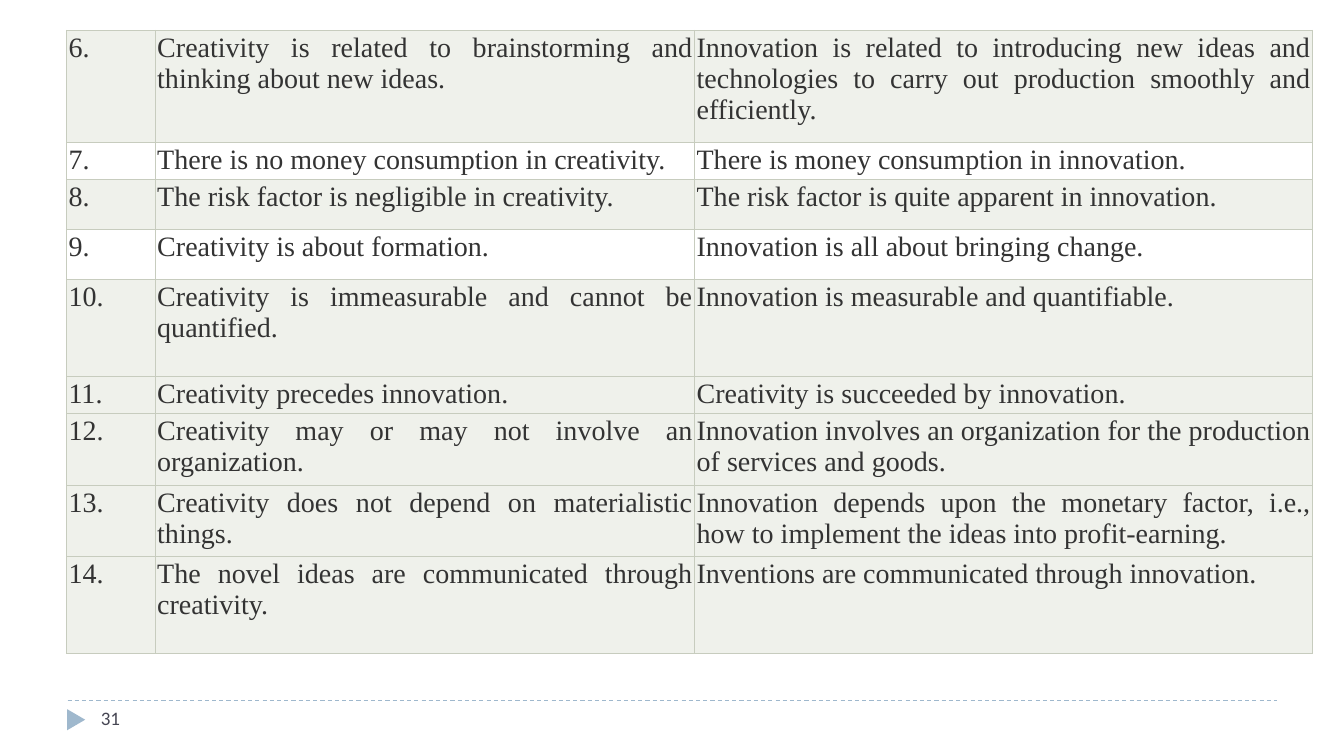
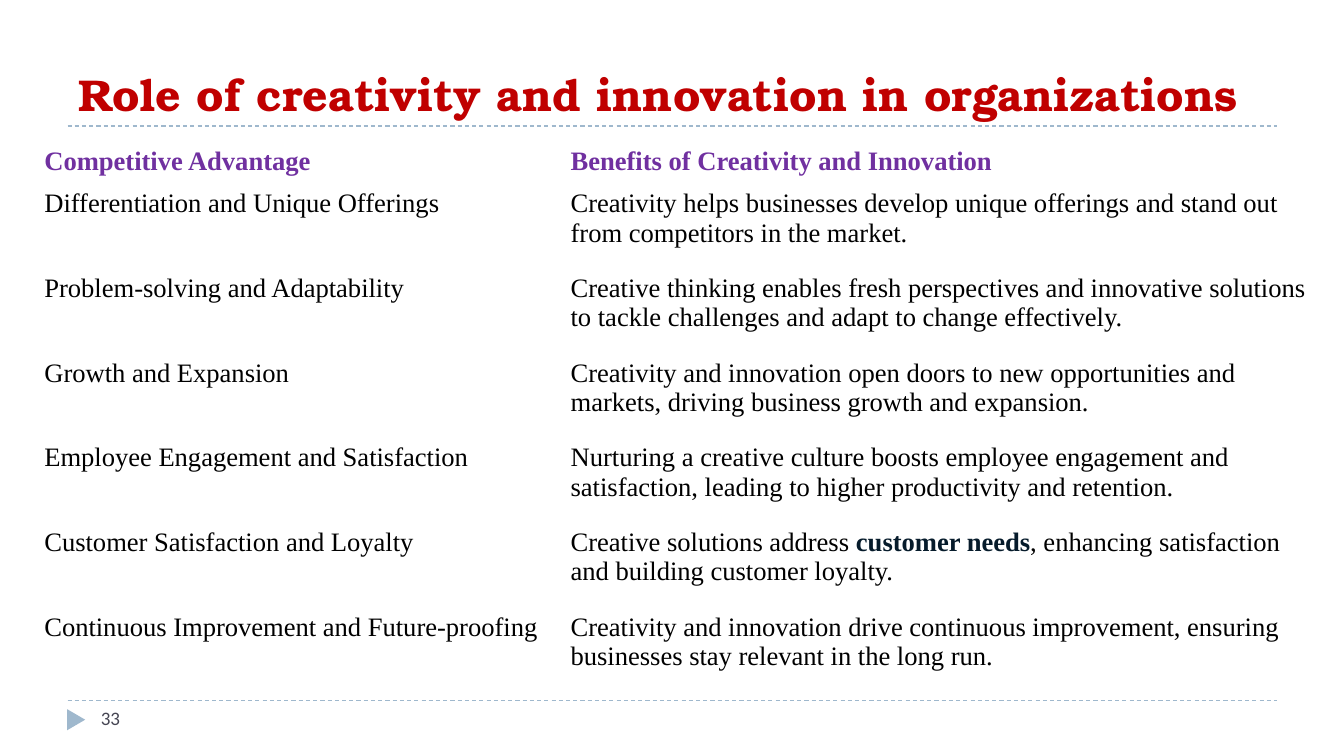
"""Build two slides on creativity and innovation with a shared footer and table style."""
from dataclasses import dataclass

from lxml import etree
from pptx import Presentation
from pptx.dml.color import RGBColor
from pptx.enum.dml import MSO_LINE
from pptx.enum.shapes import MSO_CONNECTOR, MSO_SHAPE
from pptx.enum.text import MSO_ANCHOR, PP_ALIGN
from pptx.oxml.ns import qn
from pptx.util import Inches, Pt

DASH = MSO_LINE.DASH
STRAIGHT = MSO_CONNECTOR.STRAIGHT
TRIANGLE = MSO_SHAPE.ISOSCELES_TRIANGLE
TOP, BOTTOM = MSO_ANCHOR.TOP, MSO_ANCHOR.BOTTOM
LEFT, JUSTIFY = PP_ALIGN.LEFT, PP_ALIGN.JUSTIFY


@dataclass(frozen=True)
class Theme:
    accent: str = "9FB8CD"
    title: str = "C00000"
    heading: str = "7030A0"
    body: str = "000000"
    emphasis: str = "061B2B"
    comparison: str = "333333"
    number: str = "464653"
    white: str = "FFFFFF"
    band: str = "EFF1EB"
    border: str = "C7CCBE"
    title_font: str = "TeX Gyre Bonum"
    table_font: str = "Times New Roman"
    number_font: str = "Calibri"
    title_size: float = 31.8
    comparison_size: float = 20
    roles_size: float = 19
    number_size: float = 13.6
    line_width: float = 0.75


class Deck:
    def __init__(self, theme):
        self.theme = theme
        self.presentation = Presentation()
        self.presentation.slide_width = Inches(13.33)
        self.presentation.slide_height = Inches(7.5)
        self.slide = None

    def add_slide(self, number):
        blank = self.presentation.slide_layouts[6]
        self.slide = self.presentation.slides.add_slide(blank)
        for top in (6.95, 1.25):
            self.rule(top)
        self.marker()
        theme = self.theme
        self.text_box(number, (0.89, 6.95, 2.89, 0.4), TOP,
                      theme.number_font, theme.number_size, theme.number)

    def rule(self, top):
        line = self.slide.shapes.add_connector(
            STRAIGHT, Inches(0.67), Inches(top), Inches(12.67), Inches(top))
        line.line.color.rgb = RGBColor.from_string(self.theme.accent)
        line.line.width = Pt(self.theme.line_width)
        line.line.dash_style = DASH
        properties = line._element.find(qn("p:spPr"))
        etree.SubElement(properties, qn("a:effectLst"))

    def marker(self):
        shape = self.slide.shapes.add_shape(
            TRIANGLE, Inches(0.65), Inches(7.05), Inches(0.21), Inches(0.18))
        shape.rotation = 90
        shape.shadow.inherit = False
        shape.fill.solid()
        shape.fill.fore_color.rgb = RGBColor.from_string(self.theme.accent)
        shape.line.fill.background()

    def title(self, text):
        theme = self.theme
        self.text_box(text, (0.67, 0.25, 12, 1), BOTTOM,
                      theme.title_font, theme.title_size, theme.title, True)

    def text_box(self, text, box, anchor, font, size, color, bold=False):
        shape = self.slide.shapes.add_textbox(*map(Inches, box))
        frame = shape.text_frame
        frame.word_wrap = True
        frame.vertical_anchor = anchor
        frame.margin_left = frame.margin_right = Inches(0.11)
        frame.margin_top = frame.margin_bottom = Inches(0.06)
        frame.text = text
        self.style(frame.paragraphs[0].runs[0], font, size, color, bold)

    def style(self, run, font, size, color, bold):
        run.font.name = font
        run.font.size = Pt(size)
        run.font.bold = bold
        run.font.color.rgb = RGBColor.from_string(color)

    def table(self, left, top, widths, heights):
        frame = self.slide.shapes.add_table(
            len(heights), len(widths), Inches(left), Inches(top),
            Inches(sum(widths)), Inches(sum(heights)))
        table = frame.table
        table.first_row = table.horz_banding = False
        for column, width in zip(table.columns, widths):
            column.width = Inches(width)
        for row, height in zip(table.rows, heights):
            row.height = Inches(height)
        return table

    def cell(self, cell, parts, margins, fill, size, color,
             bold=False, alignment=LEFT):
        cell.margin_left = cell.margin_right = Inches(margins[0])
        cell.margin_top = cell.margin_bottom = Inches(margins[1])
        cell.fill.solid()
        cell.fill.fore_color.rgb = RGBColor.from_string(fill)
        paragraph = cell.text_frame.paragraphs[0]
        paragraph.alignment = alignment
        for index, part in enumerate(parts):
            run = paragraph.add_run()
            run.text = part
            emphasized = index % 2 == 1
            self.style(run, self.theme.table_font, size,
                       self.theme.emphasis if emphasized else color,
                       bold or emphasized)

    def borders(self, cell):
        properties = cell._tc.get_or_add_tcPr()
        for index, side in enumerate(("a:lnL", "a:lnR", "a:lnT", "a:lnB")):
            line = etree.Element(qn(side), w=str(Pt(self.theme.line_width)))
            fill = etree.SubElement(line, qn("a:solidFill"))
            etree.SubElement(fill, qn("a:srgbClr"), val=self.theme.border)
            properties.insert(index, line)

    def comparison_table(self, rows, heights, plain_rows, first_number):
        theme = self.theme
        table = self.table(0.66, 0.3, (0.88, 5.35, 6.13), heights)
        for row_index, row in enumerate(rows):
            number = first_number + row_index
            fill = theme.white if number in plain_rows else theme.band
            for column_index, text in enumerate((f"{number}.", *row)):
                cell = table.cell(row_index, column_index)
                self.cell(cell, [text], (0.02, 0.02), fill,
                          theme.comparison_size, theme.comparison,
                          alignment=JUSTIFY)
                self.borders(cell)

    def roles_table(self, rows):
        theme = self.theme
        heights = [0.39] + [0.84] * (len(rows) - 1)
        table = self.table(0.35, 1.41, (5.22, 7.57), heights)
        for row_index, row in enumerate(rows):
            heading = row_index == 0
            for column_index, text in enumerate(row):
                self.cell(table.cell(row_index, column_index),
                          text.split("**"), (0.09, 0.05), theme.white,
                          theme.roles_size,
                          theme.heading if heading else theme.body, heading)


COMPARISON_ROWS = [
    ("Creativity is related to brainstorming and thinking about new ideas.",
     "Innovation is related to introducing new ideas and technologies to "
     "carry out production smoothly and efficiently."),
    ("There is no money consumption in creativity.",
     "There is money consumption in innovation."),
    ("The risk factor is negligible in creativity.",
     "The risk factor is quite apparent in innovation."),
    ("Creativity is about formation.",
     "Innovation is all about bringing change."),
    ("Creativity is immeasurable and cannot be quantified.",
     "Innovation is measurable and quantifiable."),
    ("Creativity precedes innovation.",
     "Creativity is succeeded by innovation."),
    ("Creativity may or may not involve an organization.",
     "Innovation involves an organization for the production of services "
     "and goods."),
    ("Creativity does not depend on materialistic things.",
     "Innovation depends upon the monetary factor, i.e., how to implement "
     "the ideas into profit-earning."),
    ("The novel ideas are communicated through creativity.",
     "Inventions are communicated through innovation."),
]
COMPARISON_HEIGHTS = (1.11, 0.36, 0.49, 0.5, 0.96, 0.36, 0.68, 0.68, 0.96)

ROLE_ROWS = [
    ("Competitive Advantage", "Benefits of Creativity and Innovation"),
    ("Differentiation and Unique Offerings",
     "Creativity helps businesses develop unique offerings and stand out "
     "from competitors in the market."),
    ("Problem-solving and Adaptability",
     "Creative thinking enables fresh perspectives and innovative solutions "
     "to tackle challenges and adapt to change effectively."),
    ("Growth and Expansion",
     "Creativity and innovation open doors to new opportunities and markets, "
     "driving business growth and expansion."),
    ("Employee Engagement and Satisfaction",
     "Nurturing a creative culture boosts employee engagement and "
     "satisfaction, leading to higher productivity and retention."),
    ("Customer Satisfaction and Loyalty",
     "Creative solutions address **customer needs**, enhancing satisfaction "
     "and building customer loyalty."),
    ("Continuous Improvement and Future-proofing",
     "Creativity and innovation drive continuous improvement, ensuring "
     "businesses stay relevant in the long run."),
]


def main():
    deck = Deck(Theme())
    deck.add_slide("31")
    deck.comparison_table(COMPARISON_ROWS, COMPARISON_HEIGHTS,
                          plain_rows=(7, 9), first_number=6)
    deck.add_slide("33")
    deck.title("Role of creativity and innovation in organizations")
    deck.roles_table(ROLE_ROWS)
    deck.presentation.save("out.pptx")


if __name__ == "__main__":
    main()
